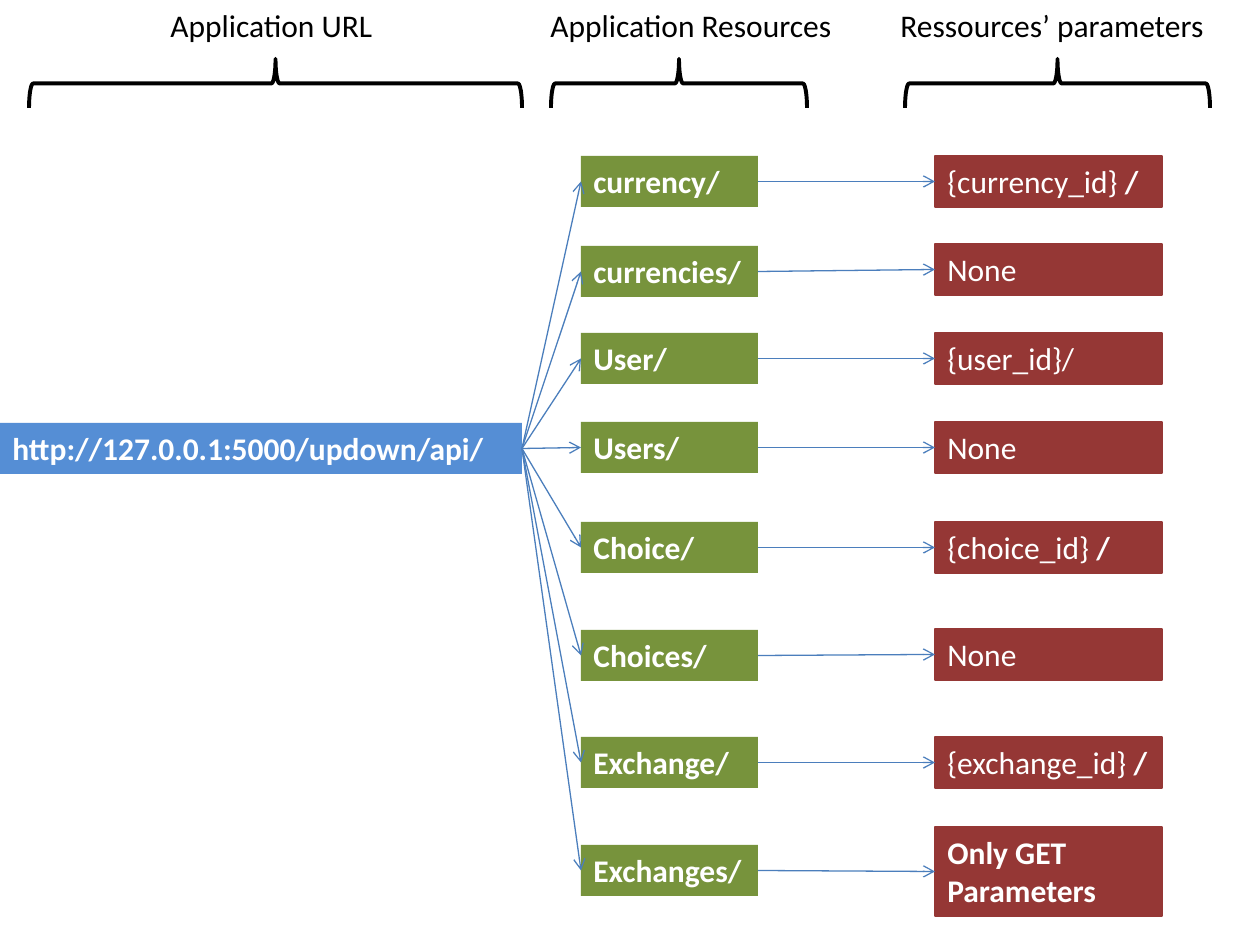
from dataclasses import dataclass

from lxml import etree
from pptx import Presentation
from pptx import util as u
from pptx.dml.color import RGBColor
from pptx.enum import shapes, text
from pptx.oxml import ns


@dataclass(frozen=True)
class Theme:
    font: str = "Calibri"
    size: int = 18
    ink: str = "000000"
    paper: str = "FFFFFF"
    url: str = "558ED5"
    resource: str = "77933C"
    parameter: str = "953735"
    arrow: str = "4B7EBC"
    thin: float = 0.75
    thick: float = 2.25


def px(pixels):
    return u.Emu(round(pixels * 914400 / 126))


class Diagram:
    """Draws the elements of a URL diagram on one slide."""

    def __init__(self, slide, theme):
        self.slide = slide
        self.theme = theme

    def label(self, shape, plain, bold, color, wrap):
        frame = shape.text_frame
        frame.word_wrap = wrap
        frame.auto_size = text.MSO_AUTO_SIZE.SHAPE_TO_FIT_TEXT
        frame.vertical_anchor = text.MSO_ANCHOR.TOP
        paragraph = frame.paragraphs[0]
        paragraph.alignment = text.PP_ALIGN.LEFT
        paragraph.font.name = self.theme.font
        paragraph.font.size = u.Pt(self.theme.size)
        paragraph.font.color.rgb = RGBColor.from_string(color)
        for words, heavy in ((plain, False), (bold, True)):
            if words:
                run = paragraph.add_run()
                run.text = words
                run.font.bold = heavy

    def stroke(self, line, color, width):
        line.color.rgb = RGBColor.from_string(color)
        line.width = u.Pt(width)

    def heading(self, left, width, words):
        shape = self.slide.shapes.add_textbox(px(left), 0, px(width), px(51))
        self.label(shape, words, "", self.theme.ink, False)

    def box(self, left, top, width, height, fill, plain="", bold="", outlined=False):
        shape = self.slide.shapes.add_shape(
            shapes.MSO_SHAPE.RECTANGLE, px(left), px(top), px(width), px(height))
        shape.shadow.inherit = False
        shape.fill.solid()
        shape.fill.fore_color.rgb = RGBColor.from_string(fill)
        if outlined:
            self.stroke(shape.line, fill, self.theme.thin)
        else:
            shape.line.fill.background()
        self.label(shape, plain, bold, self.theme.paper, True)
        return shape

    def brace(self, left, top, width, height):
        inset = (width - height) / 2
        shape = self.slide.shapes.add_shape(
            shapes.MSO_SHAPE.LEFT_BRACE,
            px(left + inset), px(top - inset), px(height), px(width))
        shape.rotation = 90
        shape.shadow.inherit = False
        shape.fill.background()
        self.stroke(shape.line, self.theme.ink, self.theme.thick)

    def arrow(self, source, target):
        connector = self.slide.shapes.add_connector(
            shapes.MSO_CONNECTOR.STRAIGHT, 0, 0, 0, 0)
        connector.begin_connect(source, 3)
        connector.end_connect(target, 1)
        self.stroke(connector.line, self.theme.arrow, self.theme.thin)
        properties = connector._element.spPr
        line = properties.find(ns.qn("a:ln"))
        etree.SubElement(line, ns.qn("a:tailEnd"), type="arrow")
        etree.SubElement(properties, ns.qn("a:effectLst"))


COLUMNS = [
    ("Application URL", 158, 229, 29, 493),
    ("Application Resources", 538, 310, 551, 256),
    ("Ressources’ parameters", 888, 331, 905, 305),
]
ROWS = [
    ("currency/", 156, "{currency_id} ", "/", 156, 51),
    ("currencies/", 246, "None", "", 244, 51),
    ("User/", 333, "{user_id}/", "", 333, 51),
    ("Users/", 422, "None", "", 422, 51),
    ("Choice/", 522, "{choice_id} ", "/", 522, 51),
    ("Choices/", 630, "None", "", 629, 51),
    ("Exchange/", 737, "{exchange_id} ", "/", 737, 51),
    ("Exchanges/", 845, "", "Only GET Parameters", 827, 89),
]

presentation = Presentation()
presentation.slide_width = px(1260)
presentation.slide_height = px(945)
theme = Theme()
diagram = Diagram(presentation.slides.add_slide(presentation.slide_layouts[6]), theme)

for title, title_left, title_width, brace_left, brace_width in COLUMNS:
    diagram.heading(title_left, title_width, title)
    diagram.brace(brace_left, 59, brace_width, 49)

url = diagram.box(0, 423, 522, 51, theme.url, bold="http://127.0.0.1:5000/updown/api/")
for name, top, plain, bold, parameter_top, parameter_height in ROWS:
    resource = diagram.box(581, top, 177, 51, theme.resource, bold=name)
    parameter = diagram.box(935, parameter_top, 227, parameter_height,
                            theme.parameter, plain, bold, outlined=True)
    diagram.arrow(url, resource)
    diagram.arrow(resource, parameter)

presentation.save("out.pptx")
